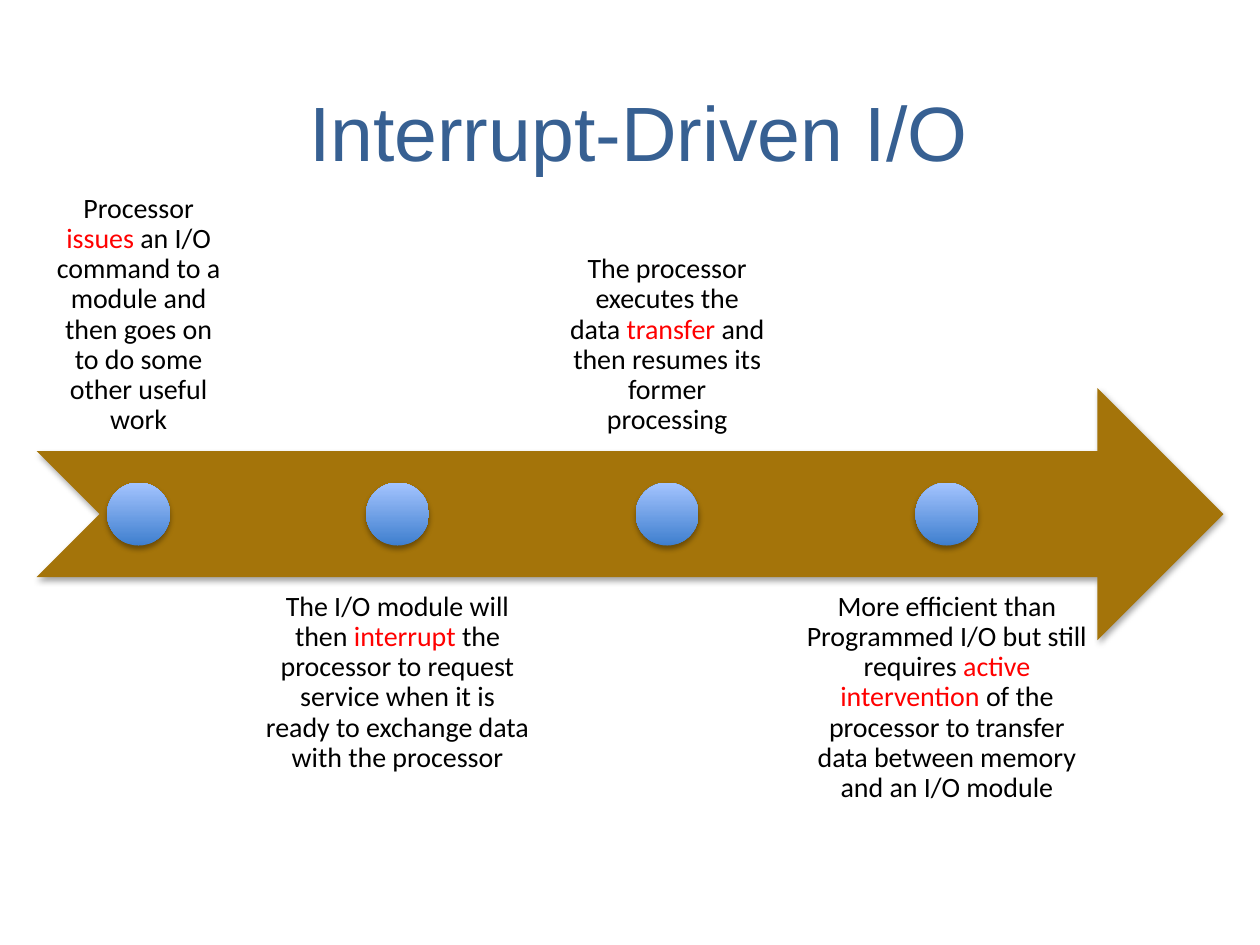
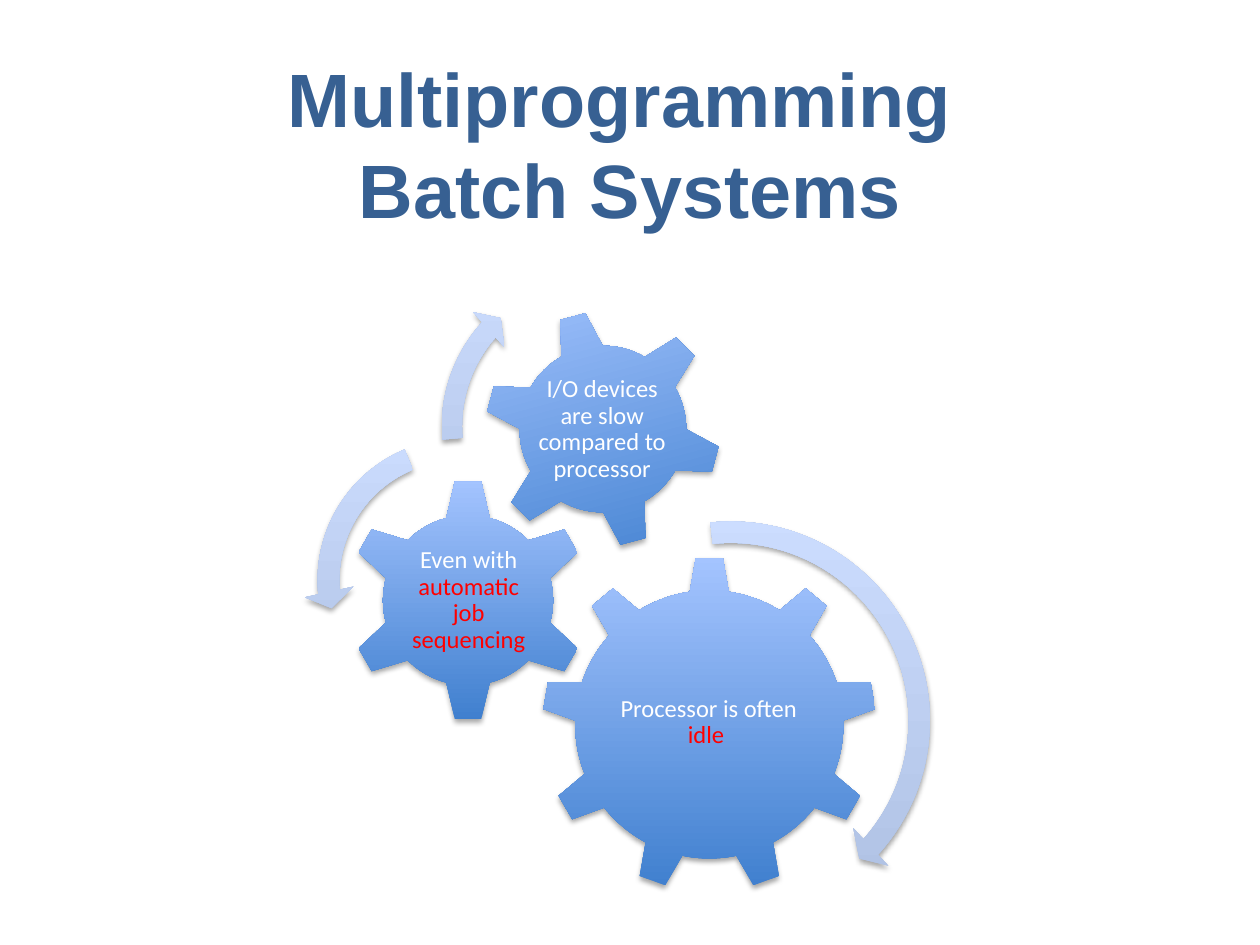
from dataclasses import dataclass

from lxml import etree
from pptx import Presentation
from pptx.dml.color import RGBColor
from pptx.enum.shapes import MSO_SHAPE
from pptx.enum.text import MSO_ANCHOR, MSO_AUTO_SIZE, PP_ALIGN
from pptx.oxml.ns import qn
from pptx.util import Inches, Pt

NOTCH = MSO_SHAPE.NOTCHED_RIGHT_ARROW
BALL = MSO_SHAPE.OVAL
GEAR6 = MSO_SHAPE.GEAR_6
GEAR9 = MSO_SHAPE.GEAR_9
ARC = MSO_SHAPE.CIRCULAR_ARROW
LEFT_ARC = MSO_SHAPE.LEFT_CIRCULAR_ARROW
TOP, MIDDLE, BOTTOM = MSO_ANCHOR.TOP, MSO_ANCHOR.MIDDLE, MSO_ANCHOR.BOTTOM
CENTER = PP_ALIGN.CENTER
FIXED = MSO_AUTO_SIZE.NONE

NAVY, GOLD, RED = "376092", "A4740A", "FF0000"
BLACK, WHITE = "000000", "FFFFFF"
BLUE = ("3F7FCE", "A4C4FF")
PALE = ("ADBFE1", "CCDDFF")


@dataclass
class Box:
    left: float
    top: float
    width: float
    height: float

    def emu(self) -> list:
        return [Inches(v) for v in (self.left, self.top, self.width, self.height)]


@dataclass
class Step:
    width: float
    text: str


@dataclass
class Gear:
    kind: int
    box: Box
    turn: float
    label: Box
    text: str


@dataclass
class Sweep:
    kind: int
    box: Box
    adjust: tuple


STEPS = [
    Step(1.62, "Processor *issues* an I/O command to a module and then goes on "
               "to do some other useful work"),
    Step(2.33, "The I/O module will then *interrupt* the processor to request "
               "service when it is ready to exchange data with the processor"),
    Step(1.79, "The processor executes the data *transfer* and then resumes "
               "its former processing"),
    Step(2.49, "More efficient than Programmed I/O but still requires *active "
               "intervention *of the processor to transfer data between memory "
               "and an I/O module"),
]

GEARS = [
    Gear(GEAR9, Box(4.3, 4.42, 2.66, 2.66), 0, Box(4.83, 5.05, 1.59, 1.37),
         "Processor is often *idle *"),
    Gear(GEAR6, Box(2.75, 3.8, 1.93, 1.93), 0, Box(3.24, 4.29, 0.96, 0.95),
         "Even with *automatic job sequencing*"),
    Gear(GEAR6, Box(3.84, 2.46, 1.89, 1.89), 345, Box(4.25, 2.88, 1.06, 1.06),
         "I/O devices are slow compared to processor"),
]

SWEEPS = [
    Sweep(ARC, Box(4.1, 4.02, 3.4, 3.4), (0.05, 2.99, 25.21, 158.5, 0.06)),
    Sweep(LEFT_ARC, Box(2.41, 3.37, 2.47, 2.47), (0.07, 4.3, 104.89, 148.38, 0.08)),
    Sweep(ARC, Box(3.4, 2.05, 2.67, 2.67), (0.06, 3.94, 133.14, 105.08, 0.07)),
]


def rgb(code: str) -> RGBColor:
    return RGBColor.from_string(code)


def add_shadow(shape) -> None:
    shape.shadow.inherit = False
    effects = shape._element.spPr.find(qn("a:effectLst"))
    outer = etree.SubElement(effects, qn("a:outerShdw"), blurRad=str(Pt(3.1)),
                             dist=str(Pt(1.8)), dir="5400000", rotWithShape="0")
    color = etree.SubElement(outer, qn("a:srgbClr"), val=BLACK)
    etree.SubElement(color, qn("a:alpha"), val="35000")


def add_solid(slide, kind: int, box: Box, paint: str | tuple):
    shape = slide.shapes.add_shape(kind, *box.emu())
    if isinstance(paint, str):
        shape.fill.solid()
        shape.fill.fore_color.rgb = rgb(paint)
    else:
        shape.fill.gradient()
        shape.fill.gradient_angle = 90
        for stop, code in zip(shape.fill.gradient_stops, paint):
            stop.color.rgb = rgb(code)
    shape.line.fill.background()
    add_shadow(shape)
    return shape


def add_label(slide, box: Box, text: str, size: float, color: str,
              anchor: int, inset: float) -> None:
    frame = slide.shapes.add_textbox(*box.emu()).text_frame
    frame.word_wrap = True
    frame.auto_size = FIXED
    frame.vertical_anchor = anchor
    frame.margin_left = frame.margin_right = Inches(inset)
    frame.margin_top = frame.margin_bottom = Inches(inset)
    para = frame.paragraphs[0]
    para.alignment = CENTER
    para.line_spacing = 0.9
    for i, part in enumerate(text.split("*")):
        if part:
            run = para.add_run()
            run.text = part
            run.font.name = "Calibri"
            run.font.size = Pt(size)
            run.font.color.rgb = rgb(RED if i % 2 else color)


def add_page(deck, title: str, box: Box, size: float, bold: bool):
    slide = deck.slides.add_slide(deck.slide_layouts[5])
    head = slide.shapes.title
    head.left, head.top, head.width, head.height = box.emu()
    frame = head.text_frame
    frame.text = title
    frame.auto_size = FIXED
    frame.vertical_anchor = MIDDLE
    para = frame.paragraphs[0]
    para.alignment = CENTER
    for run in para.runs:
        run.font.name = "Arial"
        run.font.size = Pt(size)
        run.font.bold = bold
        run.font.color.rgb = rgb(NAVY)
    return slide


def draw_steps(deck) -> None:
    slide = add_page(deck, "Interrupt-Driven I/O", Box(0.72, 0.5, 8.7, 1.08), 44, False)
    arrow = Box(0.29, 3.08, 9.42, 2)
    add_solid(slide, NOTCH, arrow, GOLD)
    left, ball, gap = arrow.left, 0.5, 0.08
    mid = arrow.top + arrow.height / 2
    for i, step in enumerate(STEPS):
        top, anchor = (mid + ball, TOP) if i % 2 else (mid - ball - 2, BOTTOM)
        add_label(slide, Box(left, top, step.width, 2), step.text, 16, BLACK, anchor, 0.12)
        start = left + (step.width - ball) / 2
        add_solid(slide, BALL, Box(start, mid - ball / 2, ball, ball), BLUE)
        left += step.width + gap


def draw_gears(deck) -> None:
    slide = add_page(deck, "Multiprogramming \vBatch Systems",
                     Box(0.5, 0.51, 9, 1.25), 43.2, True)
    for gear in GEARS:
        add_solid(slide, gear.kind, gear.box, BLUE).rotation = gear.turn
        add_label(slide, gear.label, gear.text, 14, WHITE, MIDDLE, 0.02)
    for sweep in SWEEPS:
        shape = add_solid(slide, sweep.kind, sweep.box, PALE)
        for i, value in enumerate(sweep.adjust):
            shape.adjustments[i] = value


def main() -> None:
    deck = Presentation()
    deck.slide_width, deck.slide_height = Inches(10), Inches(7.5)
    draw_steps(deck)
    draw_gears(deck)
    deck.save("out.pptx")


if __name__ == "__main__":
    main()
